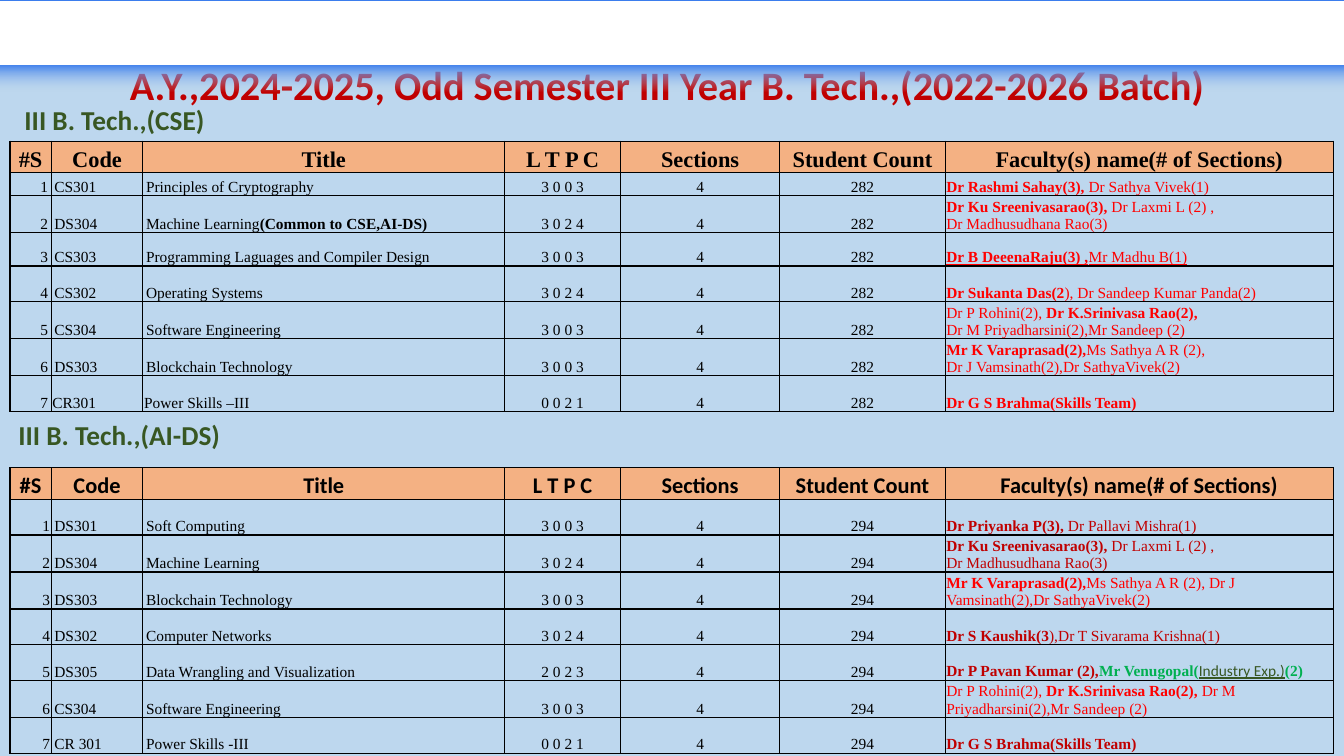
from dataclasses import dataclass

from lxml import etree
from pptx import Presentation
from pptx import util as u
from pptx.dml.color import RGBColor
from pptx.enum import shapes, text
from pptx.oxml.ns import qn

COLORS = {
    "sky": "BDD7EE", "white": "FFFFFF", "black": "000000", "header": "F4B183",
    "red": "FF0000", "crimson": "C00000", "olive": "385723", "green": "00B050",
    "blue": "3B7DED",
}
SERIF, SANS = "Times New Roman", "Calibri"
ALIGN = text.PP_ALIGN
HEADERS = ["#S", "Code", "Title", "L T P C", "Sections", "Student Count",
           "Faculty(s) name(# of Sections)"]
COLUMN_WIDTHS = [1.04, 2.31, 9.12, 2.92, 4.01, 4.17, 9.78]
COLUMN_ALIGNS = [ALIGN.RIGHT, ALIGN.LEFT, ALIGN.LEFT, ALIGN.CENTER, ALIGN.CENTER,
                 ALIGN.CENTER, ALIGN.LEFT]
WIDE, TIGHT = 0.08, 0.03


@dataclass
class Span:
    text: str
    color: str = "black"
    bold: bool = False
    underline: bool = False
    font: str = SERIF
    size: float = 11


def lead(words, rest="", color="red", underline=False):
    spans = [Span(words, color, True, underline)]
    return spans + [Span(rest, color, False, underline)] if rest else spans


def shared_faculty(gap):
    return [Span("Dr P Rohini(2), ", "red"), Span("Dr K.Srinivasa Rao(2)," + gap, "red", True),
            Span("Dr M Priyadharsini(2),Mr Sandeep (2)", "red")]


LAXMI = "Dr Laxmi L (2) ,\nDr Madhusudhana Rao(3)"
SKILLS_TEAM = "Dr G S Brahma(Skills Team)"
CSE_COURSES = [
    ("CS301", [Span("Principles of Cryptography")], "3 0 0 3",
     lead("Dr Rashmi Sahay(3), ", "Dr Sathya Vivek(1)")),
    ("DS304", [Span("Machine Learning"), Span("(Common to CSE,AI-DS)", bold=True)], "3 0 2 4",
     lead("Dr Ku Sreenivasarao(3), ", LAXMI)),
    ("CS303", [Span("Programming Laguages and Compiler Design")], "3 0 0 3",
     lead("Dr B DeeenaRaju(3) ,", "Mr Madhu B(1)", underline=True)),
    ("CS302", [Span("Operating Systems")], "3 0 2 4",
     lead("Dr Sukanta Das(2", "), Dr Sandeep Kumar Panda(2)")),
    ("CS304", [Span("Software Engineering")], "3 0 0 3", shared_faculty("\n")),
    ("DS303", [Span("Blockchain Technology")], "3 0 0 3",
     lead("Mr K Varaprasad(2),", "Ms Sathya A R (2),\nDr J Vamsinath(2),Dr SathyaVivek(2)")),
    ("CR301", [Span("Power Skills –III")], "0 0 2 1", lead(SKILLS_TEAM)),
]
AI_DS_COURSES = [
    ("DS301", [Span("Soft Computing")], "3 0 0 3",
     lead("Dr Priyanka P(3), ", "Dr Pallavi Mishra(1)", "crimson")),
    ("DS304", [Span("Machine Learning")], "3 0 2 4",
     lead("Dr Ku Sreenivasarao(3), ", LAXMI, "crimson")),
    ("DS303", [Span("Blockchain Technology")], "3 0 0 3",
     lead("Mr K Varaprasad(2),", "Ms Sathya A R (2), Dr J Vamsinath(2),Dr SathyaVivek(2)")),
    ("DS302", [Span("Computer Networks")], "3 0 2 4",
     lead("Dr S Kaushik(3", "),Dr T Sivarama Krishna(1)", "crimson")),
    ("DS305", [Span("Data Wrangling and Visualization")], "2 0 2 3",
     [Span("Dr P Pavan Kumar (2),", "crimson", True), Span("Mr Venugopal(", "green", True),
      Span("Industry Exp.)", "olive", False, True, SANS), Span("(2)", "green", True)]),
    ("CS304", [Span("Software Engineering")], "3 0 0 3", shared_faculty(" ")),
    ("CR 301", [Span("Power Skills -III")], "0 0 2 1", lead(SKILLS_TEAM, color="crimson")),
]


def rgb(name):
    return RGBColor.from_string(COLORS[name])


def write_spans(para, spans, align):
    para.alignment = align
    for span in spans:
        for index, line in enumerate(span.text.split("\n")):
            if index:
                para.add_line_break()
            if not line:
                continue
            run = para.add_run()
            run.text = line
            font = run.font
            font.name, font.size = span.font, u.Pt(span.size)
            font.bold, font.underline = span.bold, span.underline
            font.color.rgb = rgb(span.color)


def add_heading(page, box, span):
    frame = page.shapes.add_textbox(*map(u.Cm, box)).text_frame
    frame.word_wrap = True
    frame.vertical_anchor = text.MSO_ANCHOR.MIDDLE
    frame.paragraphs[0].line_spacing = 0.9
    write_spans(frame.paragraphs[0], [span], ALIGN.CENTER)


def add_bar(page, box, color):
    bar = page.shapes.add_shape(shapes.MSO_SHAPE.RECTANGLE, *map(u.Cm, box))
    bar.shadow.inherit = False
    bar.line.fill.background()
    bar.fill.solid()
    bar.fill.fore_color.rgb = rgb(color)
    return bar


def add_banner(page, box):
    left, top, width, height = box
    strip_bottom = top + 1.63
    add_bar(page, (left, top, width, 1.6), "blue")
    glow = add_bar(page, (left, strip_bottom, width, height - 1.63), "blue")
    glow.fill.gradient()
    glow.fill.gradient_angle = 270
    for stop, color, position, alpha in zip(glow.fill.gradient_stops, ("blue", "sky"),
                                            (0, 1), (100, 0)):
        stop.color.rgb = rgb(color)
        stop.position = position
        swatch = stop._gs.find(qn("a:srgbClr"))
        etree.SubElement(swatch, qn("a:alpha"), val=str(alpha * 1000))
    strip = add_bar(page, (left, top + 0.05, width, 1.58), "white")
    strip.line.color.rgb = rgb("white")
    strip.line.width = u.Pt(1)


def fill_cell(cell, spans, align, side, fill=None):
    cell.margin_left = cell.margin_right = u.Cm(side)
    cell.margin_top = cell.margin_bottom = 0
    cell.vertical_anchor = text.MSO_ANCHOR.BOTTOM
    write_spans(cell.text_frame.paragraphs[0], spans, align)
    props = cell._tc.get_or_add_tcPr()
    for edge in ("lnL", "lnR", "lnT", "lnB"):
        border = etree.SubElement(props, qn("a:" + edge), w=str(u.Pt(1)))
        paint = etree.SubElement(border, qn("a:solidFill"))
        etree.SubElement(paint, qn("a:srgbClr"), val=COLORS["black"])
    if fill:
        cell.fill.solid()
        cell.fill.fore_color.rgb = rgb(fill)
    else:
        cell.fill.background()


def add_course_table(page, box, courses, count, header_font, row_heights, tight_cells):
    frame = page.shapes.add_table(len(courses) + 1, len(HEADERS), *map(u.Cm, box))
    table = frame.table
    table.first_row = table.horz_banding = False
    for column, width in zip(table.columns, COLUMN_WIDTHS):
        column.width = u.Cm(width)
    for row, height in zip(table.rows, row_heights):
        row.height = u.Cm(height)
    for col, label in enumerate(HEADERS):
        span = Span(label, bold=True, font=header_font, size=16)
        fill_cell(table.cell(0, col), [span], ALIGN.CENTER, TIGHT, "header")
    for row, (code, title, credits, faculty) in enumerate(courses, 1):
        values = [[Span(str(row))], [Span(code)], title, [Span(credits)], [Span("4")],
                  [Span(count)], faculty]
        for col, spans in enumerate(values):
            tight = col == 6 or (row, col) in tight_cells
            fill_cell(table.cell(row, col), spans, COLUMN_ALIGNS[col], TIGHT if tight else WIDE)


def main():
    deck = Presentation()
    deck.slide_width, deck.slide_height = u.Cm(33.87), u.Cm(19.05)
    page = deck.slides.add_slide(deck.slide_layouts[6])
    page.background.fill.solid()
    page.background.fill.fore_color.rgb = rgb("sky")
    add_heading(page, (0.15, 1.78, 33.35, 0.86),
                Span("A.Y.,2024-2025, Odd Semester III Year B. Tech.,(2022-2026 Batch)",
                     "crimson", True, font=SANS, size=28.8))
    add_banner(page, (0, 0, 33.87, 2.3))
    add_course_table(page, (0.25, 3.56, 33.35, 6.71), CSE_COURSES, "282", SERIF,
                     [0.79, 0.58, 0.9, 0.84] + [0.9] * 4, {(7, 1), (7, 2)})
    add_heading(page, (0.25, 2.54, 5.28, 1.04),
                Span("III B. Tech.,(CSE)", "olive", True, font=SANS, size=19.5))
    add_course_table(page, (0.25, 11.79, 33.35, 7.09), AI_DS_COURSES, "294", SANS,
                     [0.79] + [0.9] * 7, {(row, 0) for row in range(1, 8)})
    add_heading(page, (0, 10.49, 6.02, 1.04),
                Span("III B. Tech.,(AI-DS)", "olive", True, font=SANS, size=19.5))
    deck.save("out.pptx")


if __name__ == "__main__":
    main()
